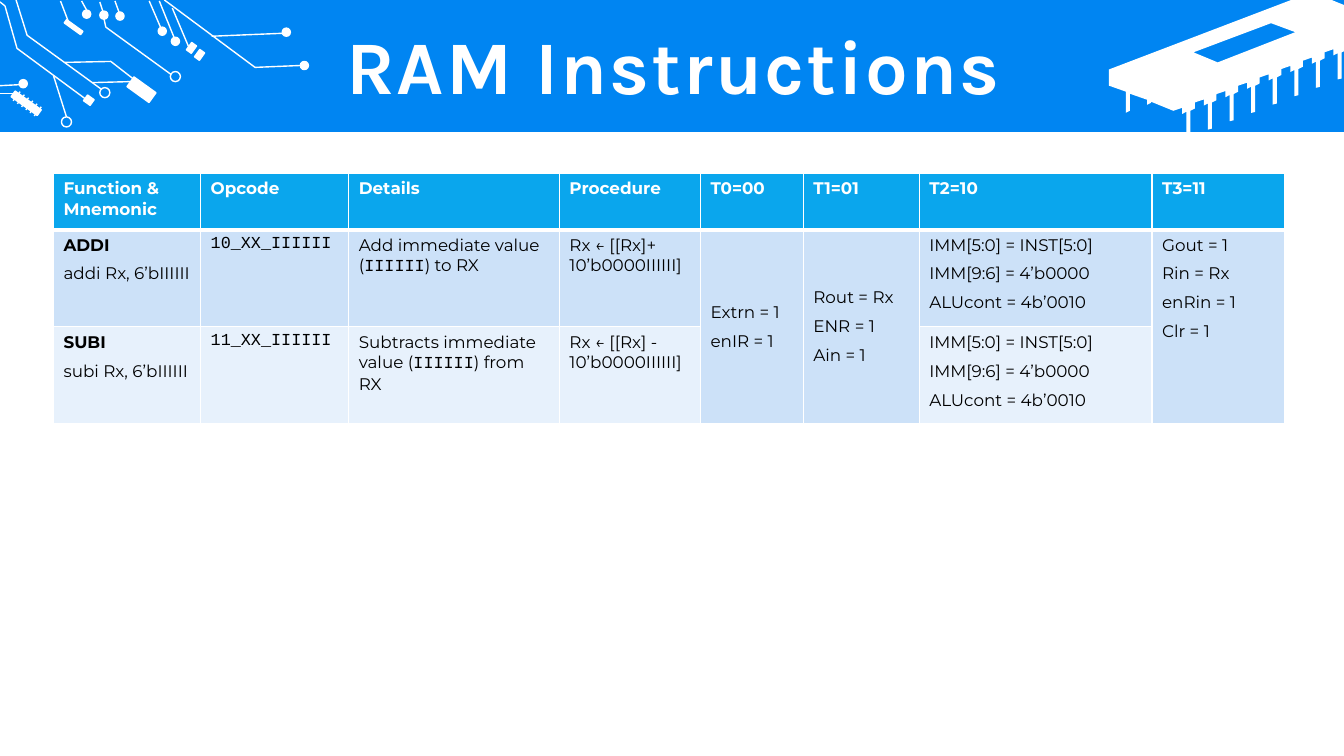
from lxml import etree
from pptx import Presentation
from pptx import util as u
from pptx.dml.color import RGBColor
from pptx.enum import shapes, text
from pptx.oxml.ns import qn

COLORS = {
    "banner": "0085F2",
    "header": "0AA6ED",
    "row_dark": "CCE1F8",
    "row_light": "E7F1FC",
    "white": "FFFFFF",
    "black": "000000",
}
MONO = {"font": "Courier New"}
BOLD = {"bold": True}
TILT = 35.7

HEADERS = ["Function & Mnemonic", "Opcode", "Details", "Procedure",
           "T0=00", "T1=01", "T2=10", "T3=11"]
IMMEDIATE_STEPS = ["IMM[5:0] = INST[5:0]", "IMM[9:6] = 4’b0000", "ALUcont = 4b’0010"]
INSTRUCTIONS = [
    [
        [[("ADDI", BOLD)], "addi Rx, 6’bIIIIII"],
        [[("10_XX_IIIIII", MONO)]],
        [[("Add immediate value (", {}), ("IIIIII", MONO), (") to RX", {})]],
        ["Rx ← [[Rx]+ 10’b0000IIIIII]"],
        ["Extrn = 1", "enIR = 1"],
        ["Rout = Rx", "ENR = 1", "Ain = 1"],
        IMMEDIATE_STEPS,
        ["Gout = 1", "Rin = Rx", "enRin = 1", "Clr = 1"],
    ],
    [
        [[("SUBI", BOLD)], "subi Rx, 6’bIIIIII"],
        [[("11_XX_IIIIII", MONO)]],
        [[("Subtracts immediate value (", {}), ("IIIIII", MONO), (") from RX", {})]],
        ["Rx ← [[Rx] - 10’b0000IIIIII]"],
        None,
        None,
        IMMEDIATE_STEPS,
        None,
    ],
]
COLUMN_WIDTHS = [105.1, 105.8, 150.5, 100.8, 73.4, 82.8, 166.3, 95]
ROW_HEIGHTS = [40.3, 69.4, 69.4]
SHARED_COLUMNS = [4, 5, 7]
CENTERED_COLUMNS = [4, 5]

DOTS = [(217.4, 46.8), (204.5, 23), (61.9, 10.1), (74.2, 10.8),
        (85.7, 11.5), (16.6, 59.8), (125.3, 29.5), (115.9, 22.3)]
RINGS = [(125.3, 54.7), (74.9, 66.2), (47.5, 87.1)]
COMPONENTS = [(91.4, 59.8, 19.4, 8.6), (45.4, 18, 14.4, 2.9), (60.5, 69.1, 5.8, 5),
              (134.6, 31, 4.3, 6.5), (140.4, 36, 4.3, 6.5), (7.2, 71.3, 23, 5)]
WIRES = [
    (43.2, 0.7, 49, 15.8), (58.3, 0.7, 61.9, 7.2), (71.3, 1.4, 73.4, 7.9),
    (82.1, 0.7, 85, 8.6), (106.6, 0.7, 115.9, 22.3), (113.8, 0.7, 124.6, 27.4),
    (151.2, 25.9, 201.6, 23.8), (123.1, 5.8, 134.6, 33.1), (0, 61.2, 13.7, 60.5),
    (0, 67, 10.1, 67), (38.2, 54, 47.5, 83.5), (66.2, 59, 93.6, 58.3),
]
CONNECTOR_PINS = [(9.4 + 3.02 * i, 72 + 2.16 * i, 14.4 + 3.02 * i, 65.5 + 2.16 * i)
                  for i in range(6)]
TRACES = [
    [(117.4, 0), (182.2, 48.2), (215.3, 46.8)],
    [(11.5, 0), (19.4, 25.2), (72, 63.4)],
    [(0, 1.4), (3.6, 4.3), (12.2, 34.6), (61.9, 71.3)],
    [(46.1, 44.6), (79.2, 43.9), (95, 56.2)],
    [(74.2, 13), (75.6, 19.4), (122.4, 53.3)],
]
CHIP_SLOT = [(907.9, 16.6), (852.5, 37.4), (869.8, 44.6), (925.2, 23)]
CHIP_PIN = [(0, 0), (0, 18.7), (-2.9, 19.4), (-2.9, 0.7),
            (-5.8, 2.2), (-5.8, -2.2), (-12.2, 0), (-12.2, 4.3)]
CHIP_PINS = [(958.3 - 15.43 * i + dx, 37.4 + 5.97 * i + dy)
             for i in range(8) for dx, dy in CHIP_PIN]
CHIP_BODY = (
    [(922.3, 0), (951.1, 0), (960, 3.6), (960, 36.7)]
    + CHIP_PINS[:-1]
    + [(822.2, 72.7), (822.2, 73.4), (819.4, 74.9), (819.4, 71.3), (807.1, 67),
       (807.1, 79.2), (804.2, 80.6), (804.2, 65.5), (792, 61.2), (792, 49.7)]
)


def rgb(name):
    return RGBColor.from_string(COLORS[name])


def write_run(paragraph, content, font="Montserrat", size=12, color="black",
              bold=False, tracking=0):
    run = paragraph.add_run()
    run.text = content
    run.font.name = font
    run.font.size = u.Pt(size)
    run.font.bold = bold
    run.font.color.rgb = rgb(color)
    if tracking:
        run.font._element.set("spc", str(tracking))


class SlideBuilder:
    def __init__(self, slide, line_color="white", line_width=1):
        self.slide = slide
        self.shapes = slide.shapes
        self.line_color = line_color
        self.line_width = line_width

    def paint(self, shape, fill=None, outlined=True):
        shape.shadow.inherit = False
        if fill:
            shape.fill.solid()
            shape.fill.fore_color.rgb = rgb(fill)
        else:
            shape.fill.background()
        if outlined:
            self.draw_line(shape.line)
        else:
            shape.line.fill.background()

    def draw_line(self, line):
        line.color.rgb = rgb(self.line_color)
        line.width = u.Pt(self.line_width)

    def rectangle(self, left, top, width, height, fill, outlined=True, rotation=0):
        shape = self.shapes.add_shape(shapes.MSO_SHAPE.RECTANGLE, u.Pt(left), u.Pt(top),
                                      u.Pt(width), u.Pt(height))
        shape.rotation = rotation
        self.paint(shape, fill, outlined)

    def circle(self, x, y, diameter, fill=None):
        shape = self.shapes.add_shape(shapes.MSO_SHAPE.OVAL, u.Pt(x - diameter / 2),
                                      u.Pt(y - diameter / 2), u.Pt(diameter), u.Pt(diameter))
        self.paint(shape, fill)

    def wire(self, x1, y1, x2, y2):
        connector = self.shapes.add_connector(shapes.MSO_CONNECTOR.STRAIGHT, u.Pt(x1),
                                              u.Pt(y1), u.Pt(x2), u.Pt(y2))
        self.draw_line(connector.line)
        etree.SubElement(connector.element.spPr, qn("a:effectLst"))

    def outline(self, contours, fill=None):
        contours = [[(u.Pt(x), u.Pt(y)) for x, y in contour] for contour in contours]
        builder = self.shapes.build_freeform(*contours[0][0])
        for index, contour in enumerate(contours):
            if index:
                builder.move_to(*contour[0])
            builder.add_line_segments(contour[1:], close=bool(fill))
        self.paint(builder.convert_to_shape(), fill, outlined=not fill)

    def title(self, content, left, top, width, height):
        title = self.shapes.title
        title.left, title.top = u.Pt(left), u.Pt(top)
        title.width, title.height = u.Pt(width), u.Pt(height)
        frame = title.text_frame
        frame.word_wrap = True
        frame.auto_size = text.MSO_AUTO_SIZE.NONE
        frame.vertical_anchor = text.MSO_ANCHOR.MIDDLE
        paragraph = frame.paragraphs[0]
        paragraph.alignment = text.PP_ALIGN.CENTER
        paragraph.line_spacing = 0.9
        write_run(paragraph, content, font="Karla", size=54, color="white", bold=True,
                  tracking=150)
        self.shapes.element.append(title.element)

    def cell(self, cell, paragraphs, fill, bottom=1, **style):
        properties = cell._tc.get_or_add_tcPr()
        for side, width in (("L", 1), ("R", 1), ("T", 1), ("B", bottom)):
            border = etree.SubElement(properties, qn(f"a:ln{side}"), w=str(u.Pt(width)))
            solid = etree.SubElement(border, qn("a:solidFill"))
            etree.SubElement(solid, qn("a:srgbClr"), val=COLORS[self.line_color])
        cell.fill.solid()
        cell.fill.fore_color.rgb = rgb(fill)
        for index, pieces in enumerate(paragraphs or []):
            frame = cell.text_frame
            paragraph = frame.add_paragraph() if index else frame.paragraphs[0]
            paragraph.space_before = u.Pt(6 if index else 0)
            if isinstance(pieces, str):
                pieces = [(pieces, {})]
            for content, piece_style in pieces:
                write_run(paragraph, content, **{**style, **piece_style})

    def table(self, left, top):
        frame = self.shapes.add_table(len(ROW_HEIGHTS), len(COLUMN_WIDTHS), u.Pt(left),
                                      u.Pt(top), u.Pt(sum(COLUMN_WIDTHS)),
                                      u.Pt(sum(ROW_HEIGHTS)))
        table = frame.table
        table.horz_banding = False
        for column, width in zip(table.columns, COLUMN_WIDTHS):
            column.width = u.Pt(width)
        for row, height in zip(table.rows, ROW_HEIGHTS):
            row.height = u.Pt(height)
        for column, header in enumerate(HEADERS):
            self.cell(table.cell(0, column), [header], "header", bottom=3,
                      color="white", bold=True)
        for row, instruction in enumerate(INSTRUCTIONS, 1):
            for column, paragraphs in enumerate(instruction):
                dark = row == 1 or column in SHARED_COLUMNS
                self.cell(table.cell(row, column), paragraphs,
                          "row_dark" if dark else "row_light")
        for column in SHARED_COLUMNS:
            table.cell(1, column).merge(table.cell(2, column))
        for column in CENTERED_COLUMNS:
            table.cell(1, column).vertical_anchor = text.MSO_ANCHOR.MIDDLE


def main():
    presentation = Presentation()
    presentation.slide_width, presentation.slide_height = u.Pt(960), u.Pt(540)
    builder = SlideBuilder(presentation.slides.add_slide(presentation.slide_layouts[5]))
    builder.rectangle(0, 0, 960, 94.3, "banner", outlined=False)
    builder.outline([CHIP_SLOT, CHIP_BODY], fill="white")
    for component in COMPONENTS:
        builder.rectangle(*component, "white", rotation=TILT)
    for dot in DOTS:
        builder.circle(*dot, 5.8, fill="white")
    for ring in RINGS:
        builder.circle(*ring, 7.2)
    for wire in WIRES + CONNECTOR_PINS:
        builder.wire(*wire)
    for trace in TRACES:
        builder.outline([trace])
    builder.title("RAM Instructions", 25.2, 21.6, 911.5, 56.9)
    builder.table(38.2, 123.8)
    presentation.save("out.pptx")


if __name__ == "__main__":
    main()
